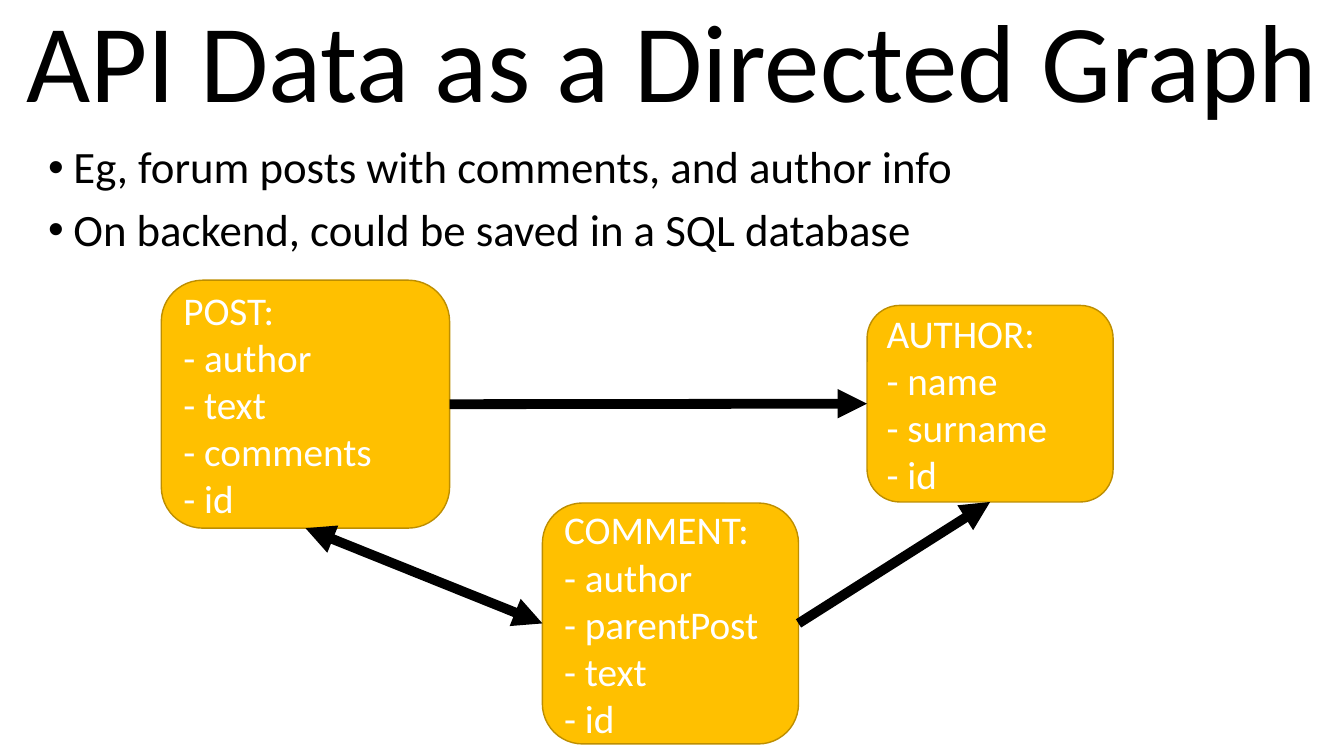
from lxml import etree
from pptx import Presentation
from pptx.dml.color import RGBColor
from pptx.enum.shapes import MSO_CONNECTOR, MSO_SHAPE
from pptx.enum.text import MSO_ANCHOR, PP_ALIGN
from pptx.oxml.ns import qn
from pptx.util import Inches, Pt

BLACK = RGBColor(0x00, 0x00, 0x00)
WHITE = RGBColor(0xFF, 0xFF, 0xFF)
AMBER = RGBColor(0xFF, 0xC0, 0x00)
DARK_AMBER = RGBColor(0xBD, 0x8E, 0x00)
ROUNDED = MSO_SHAPE.ROUNDED_RECTANGLE
STRAIGHT = MSO_CONNECTOR.STRAIGHT
MIDDLE = MSO_ANCHOR.MIDDLE
LEFT = PP_ALIGN.LEFT
# Connection sites of a rounded rectangle
SITE_LEFT, SITE_BOTTOM, SITE_RIGHT = 1, 2, 3


def write_lines(shape, lines, size, color):
    """Fill the shape with one left-aligned paragraph per line."""
    text_frame = shape.text_frame
    text_frame.word_wrap = True
    text_frame.text = "\n".join(lines)
    for paragraph in text_frame.paragraphs:
        paragraph.alignment = LEFT
        font = paragraph.runs[0].font
        font.name = "Calibri"
        font.size = Pt(size)
        font.color.rgb = color
    return text_frame


presentation = Presentation()
presentation.slide_width = Inches(13.33)
presentation.slide_height = Inches(7.5)
slide = presentation.slides.add_slide(presentation.slide_layouts[6])

# Title
title = slide.shapes.add_textbox(Inches(0.16), Inches(0.03), Inches(13.06), Inches(1.26))
title_frame = write_lines(title, ["API Data as a Directed Graph"], 79.2, BLACK)
title_frame.vertical_anchor = MIDDLE
title_frame.paragraphs[0].line_spacing = 0.9

# Bullets
body = slide.shapes.add_textbox(Inches(0.38), Inches(1.39), Inches(12.84), Inches(1.33))
body_frame = write_lines(body, [
    "Eg, forum posts with comments, and author info",
    "On backend, could be saved in a SQL database",
], 32, BLACK)
for paragraph in body_frame.paragraphs:
    paragraph.line_spacing = 0.9
    paragraph.space_before = Pt(10)
    properties = paragraph._p.get_or_add_pPr()
    properties.set("marL", str(Inches(0.25)))
    properties.set("indent", str(-Inches(0.25)))
    etree.SubElement(properties, qn("a:buFont")).set("typeface", "Arial")
    etree.SubElement(properties, qn("a:buChar")).set("char", "•")

# Graph nodes: name, left, top, width, height, fields
NODES = [
    ("POST", 1.6, 2.78, 2.86, 2.46, ["author", "text", "comments", "id"]),
    ("COMMENT", 5.38, 4.99, 2.54, 2.39, ["author", "parentPost", "text", "id"]),
    ("AUTHOR", 8.6, 3.03, 2.44, 1.95, ["name", "surname", "id"]),
]
nodes = {}
for name, left, top, width, height, fields in NODES:
    node = slide.shapes.add_shape(
        ROUNDED, Inches(left), Inches(top), Inches(width), Inches(height))
    node.shadow.inherit = False
    node.fill.solid()
    node.fill.fore_color.rgb = AMBER
    node.line.color.rgb = DARK_AMBER
    node.line.width = Pt(1)
    lines = [f"{name}:"] + [f"- {field}" for field in fields]
    write_lines(node, lines, 28, WHITE).vertical_anchor = MIDDLE
    nodes[name] = node

# Graph edges: start node and site, end node and site, arrowhead ends
EDGES = [
    ("POST", SITE_RIGHT, "AUTHOR", SITE_LEFT, ["tailEnd"]),
    ("POST", SITE_BOTTOM, "COMMENT", SITE_LEFT, ["headEnd", "tailEnd"]),
    ("COMMENT", SITE_RIGHT, "AUTHOR", SITE_BOTTOM, ["tailEnd"]),
]
for start, start_site, end, end_site, arrowheads in EDGES:
    edge = slide.shapes.add_connector(STRAIGHT, 0, 0, 0, 0)
    edge.begin_connect(nodes[start], start_site)
    edge.end_connect(nodes[end], end_site)
    edge.line.color.rgb = BLACK
    edge.line.width = Pt(7)
    line_properties = edge.line._get_or_add_ln()
    for arrowhead in arrowheads:
        etree.SubElement(line_properties, qn(f"a:{arrowhead}")).set("type", "triangle")
    etree.SubElement(edge._element.spPr, qn("a:effectLst"))

presentation.save("out.pptx")
